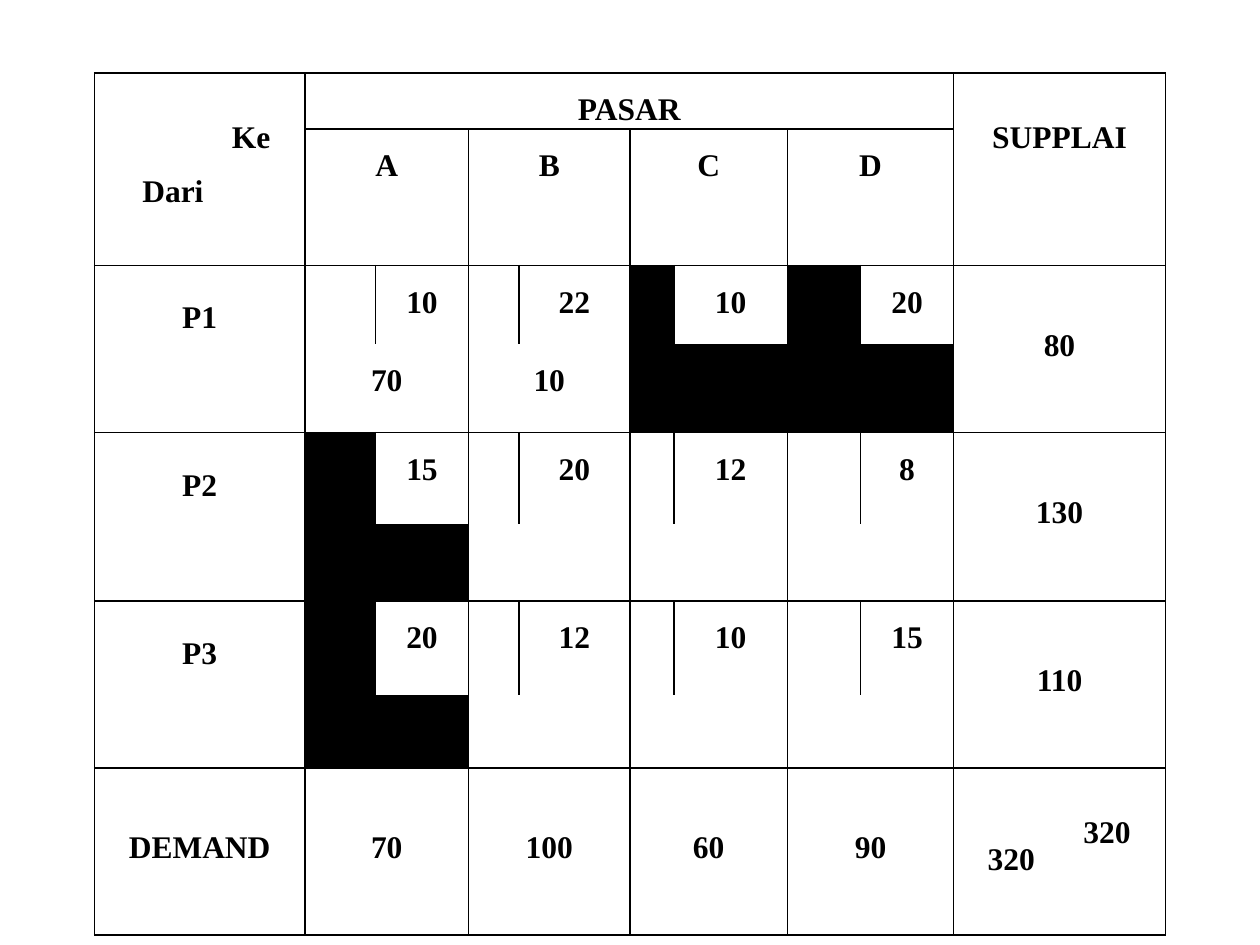
from lxml.etree import SubElement
from pptx import Presentation
from pptx.dml.color import RGBColor
from pptx.enum.text import MSO_ANCHOR, PP_ALIGN
from pptx.oxml.ns import qn
from pptx.util import Inches, Pt

COLOURS = {"ink": "000000", "paper": "FFFFFF"}
FONT = {"name": "Times New Roman", "size": Pt(18), "bold": True}
LINE = Pt(15.6)
SIDES = "LRTB"
OPEN_BELOW, OPEN_ABOVE = "LRT", "LRB"

# Relative widths and heights of the grid
COLUMNS = [1.67, 0.56, 0.74, 0.4, 0.88, 0.35, 0.9, 0.58, 0.74, 1.68]
ROWS = [0.43, 0.86, 0.6, 0.68, 0.7, 0.59, 0.72, 0.56, 1.28]
SUPPLY_COLUMN = len(COLUMNS) - 1

MARKETS = ["A", "B", "C", "D"]
# Plant: supply, then (cost, allocation, crossed out) for each market
PLANTS = {
    "P1": ("80", [("10", "70", False), ("22", "10", False),
                  ("10", "", True), ("20", "", True)]),
    "P2": ("130", [("15", "", True), ("20", "", False),
                   ("12", "", False), ("8", "", False)]),
    "P3": ("110", [("20", "", True), ("12", "", False),
                   ("10", "", False), ("15", "", False)]),
}
DEMAND = ["70", "100", "60", "90"]


def draw_borders(cell, sides):
    properties = cell._tc.get_or_add_tcPr()
    for side in SIDES:
        border = SubElement(properties, qn(f"a:ln{side}"), w=str(Pt(1)))
        if side in sides:
            ink = SubElement(border, qn("a:solidFill"))
            SubElement(ink, qn("a:srgbClr"), val=COLOURS["ink"])
        else:
            SubElement(border, qn("a:noFill"))


def write_line(paragraph, text, indent=None):
    paragraph.line_spacing = LINE
    paragraph.alignment = PP_ALIGN.CENTER if indent is None else PP_ALIGN.LEFT
    if indent is not None:
        paragraph._p.get_or_add_pPr().set("marL", str(Inches(indent)))
    paragraph.text = text
    for attribute, value in FONT.items():
        setattr(paragraph.font, attribute, value)
    paragraph.font.color.rgb = RGBColor.from_string(COLOURS["ink"])


def fill_cell(table, row, column, lines=(), span=(1, 1), sides=SIDES,
              shaded=False, middle=False, above=0, below=0):
    """Format one cell; lines holds (text, indent), above and below count text lines."""
    cell = table.cell(row, column)
    covered = [table.cell(row + down, column + across)
               for down in range(span[0]) for across in range(span[1])]
    if len(covered) > 1:
        cell.merge(covered[-1])
    for part in covered:
        draw_borders(part, sides)
        if shaded:
            part.fill.solid()
            part.fill.fore_color.rgb = RGBColor.from_string(COLOURS["ink"])
        else:
            part.fill.background()
    layout = {
        "margin_left": Inches(0.07), "margin_right": Inches(0.07),
        "margin_top": int(LINE * above), "margin_bottom": int(LINE * below),
        "vertical_anchor": MSO_ANCHOR.MIDDLE if middle else MSO_ANCHOR.TOP,
    }
    for attribute, value in layout.items():
        setattr(cell, attribute, value)
    frame = cell.text_frame
    for number, (text, indent) in enumerate(lines or [("", None)]):
        paragraph = frame.add_paragraph() if number else frame.paragraphs[0]
        write_line(paragraph, text, indent)


def centred(text):
    return [(text, None)]


def market_column(index):
    return 1 + 2 * index


def add_header(table):
    fill_cell(table, 0, 0, [("Ke", 1.02), ("Dari", 0.31)], span=(2, 1), above=2)
    table.cell(0, 0).text_frame.paragraphs[1].space_before = LINE
    fill_cell(table, 0, 1, centred("PASAR"), span=(1, 8), above=1)
    for index, market in enumerate(MARKETS):
        fill_cell(table, 1, market_column(index), centred(market), span=(1, 2), above=1)
    fill_cell(table, 0, SUPPLY_COLUMN, centred("SUPPLAI"), span=(2, 1), above=2)


def add_plant(table, row, plant, supply, routes):
    fill_cell(table, row, 0, centred(plant), span=(2, 1), middle=True, below=2)
    for index, (cost, allocation, crossed) in enumerate(routes):
        column = market_column(index)
        # Corner beside the cost, the cost box, and the allocation under both
        fill_cell(table, row, column, sides=OPEN_BELOW, shaded=crossed)
        fill_cell(table, row, column + 1, centred(cost), sides=OPEN_BELOW, above=1)
        fill_cell(table, row + 1, column, centred(allocation), span=(1, 2),
                  sides=OPEN_ABOVE, shaded=crossed, above=1)
    fill_cell(table, row, SUPPLY_COLUMN, centred(supply), span=(2, 1), middle=True)


def add_demand(table, row):
    fill_cell(table, row, 0, centred("DEMAND"), middle=True)
    for index, demand in enumerate(DEMAND):
        fill_cell(table, row, market_column(index), centred(demand),
                  span=(1, 2), middle=True)
    fill_cell(table, row, SUPPLY_COLUMN, [("320", 0.96), ("320", 0.2)], above=2)


def add_transport_table(slide, left, top, width, height):
    table = slide.shapes.add_table(len(ROWS), len(COLUMNS),
                                   left, top, width, height).table
    table.first_row = table.horz_banding = False
    for column, share in zip(table.columns, COLUMNS):
        column.width = int(width * share / sum(COLUMNS))
    for row, share in zip(table.rows, ROWS):
        row.height = int(height * share / sum(ROWS))
    add_header(table)
    for index, (plant, (supply, routes)) in enumerate(PLANTS.items()):
        add_plant(table, 2 + 2 * index, plant, supply, routes)
    add_demand(table, len(ROWS) - 1)


def main():
    presentation = Presentation()
    presentation.slide_width, presentation.slide_height = Inches(10), Inches(7.5)
    slide = presentation.slides.add_slide(presentation.slide_layouts[6])
    slide.background.fill.solid()
    slide.background.fill.fore_color.rgb = RGBColor.from_string(COLOURS["paper"])
    add_transport_table(slide, Inches(0.75), Inches(0.58), Inches(8.5), Inches(6.65))
    presentation.save("out.pptx")


if __name__ == "__main__":
    main()
